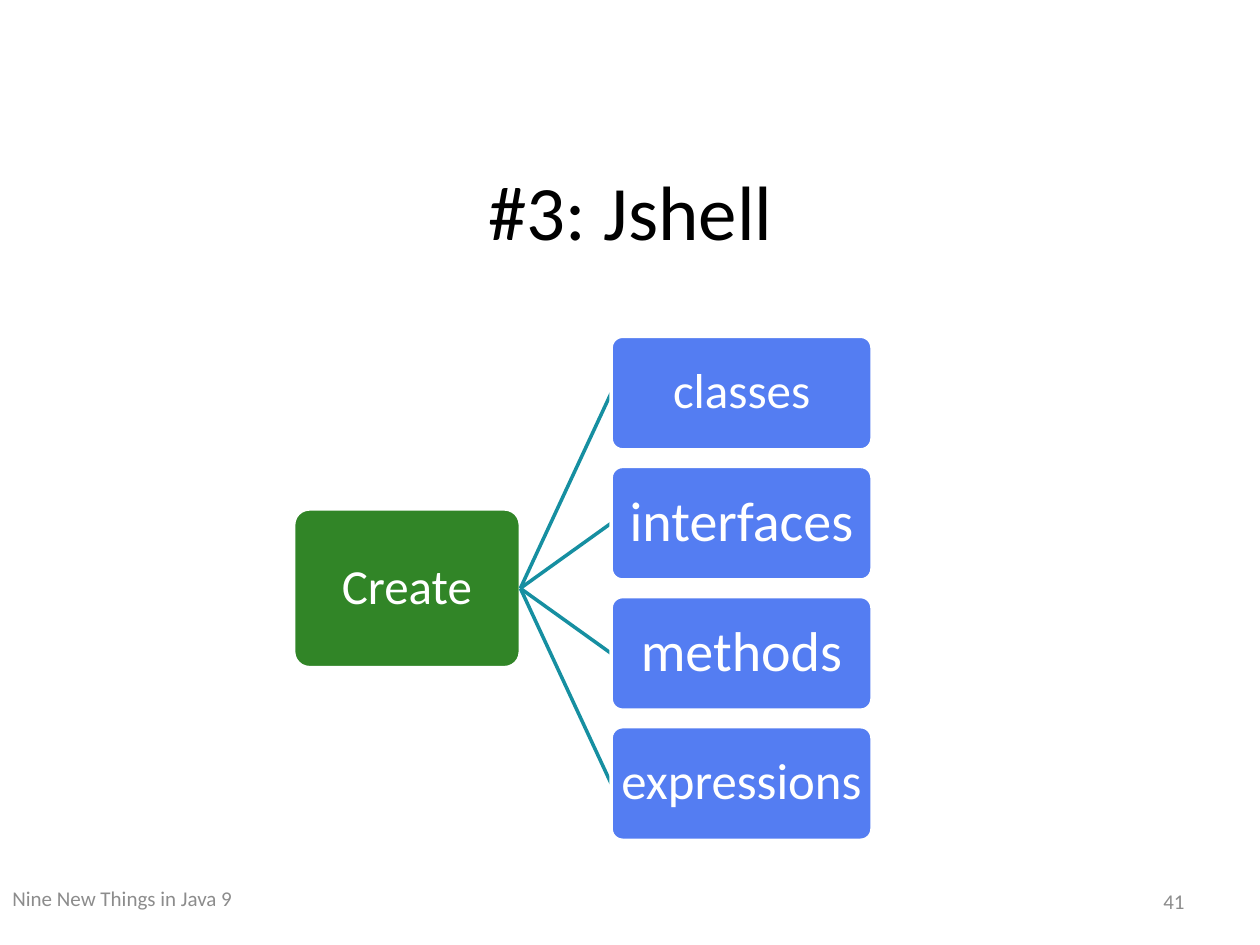
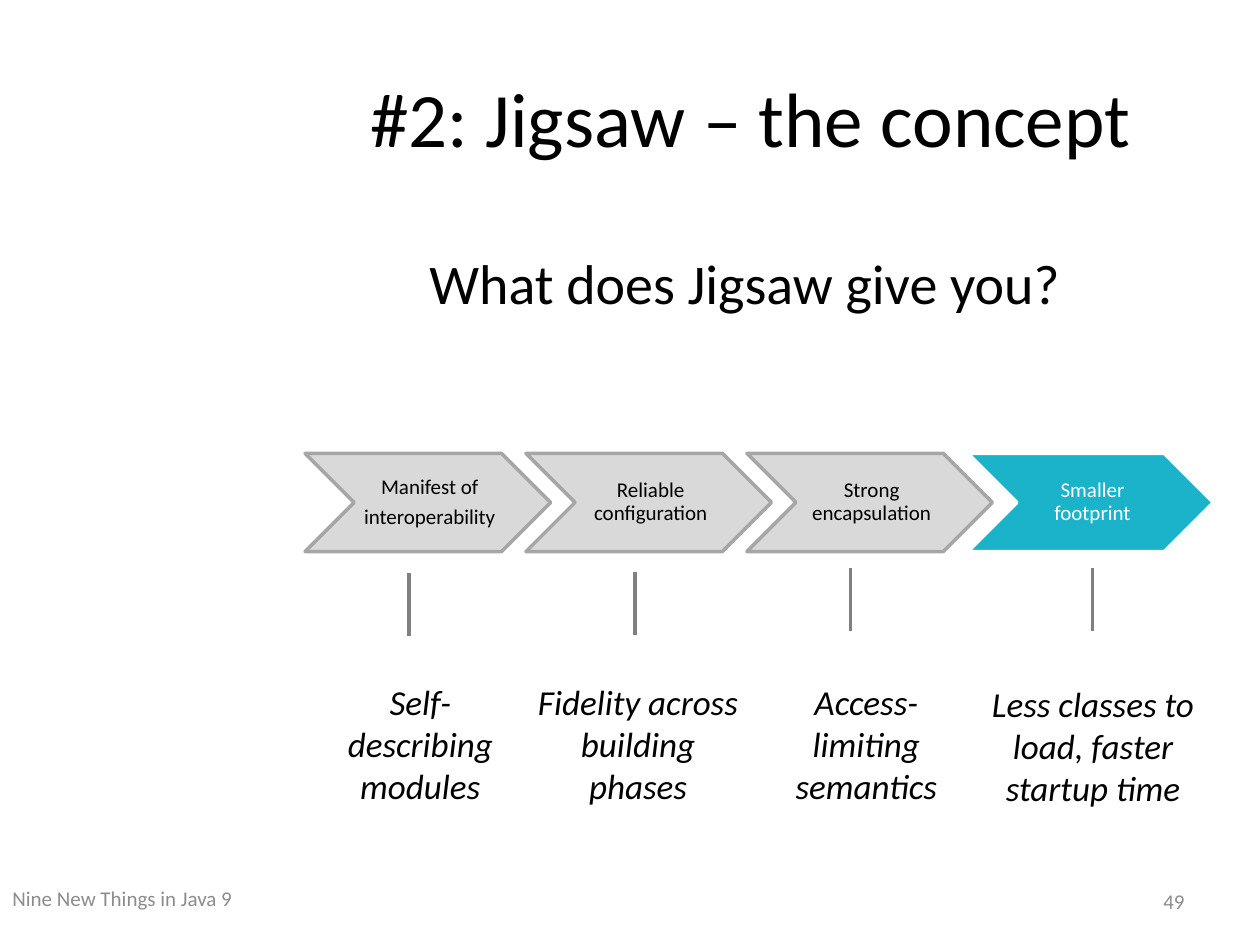
import pptx
import pptx.util
import pptx.dml.color
import pptx.enum.shapes
import pptx.enum.text
import pptx.oxml.ns
from lxml import etree

Cm, Pt = pptx.util.Cm, pptx.util.Pt
RGBColor = pptx.dml.color.RGBColor
Shape = pptx.enum.shapes.MSO_SHAPE
Align = pptx.enum.text.PP_ALIGN
Anchor = pptx.enum.text.MSO_ANCHOR

FONT = "Calibri"
BLACK = RGBColor(0x00, 0x00, 0x00)
WHITE = RGBColor(0xFF, 0xFF, 0xFF)
FOOTER_GRAY = RGBColor(0x8C, 0x8C, 0x8C)
HUB_GREEN = RGBColor(0x31, 0x85, 0x27)
LEAF_BLUE = RGBColor(0x54, 0x7D, 0xF2)
LINK_TEAL = RGBColor(0x16, 0x8F, 0xA1)
STEP_GRAY = RGBColor(0xD9, 0xD9, 0xD9)
STEP_EDGE = RGBColor(0xA6, 0xA6, 0xA6)
STEP_CYAN = RGBColor(0x1B, 0xB3, 0xC9)
TICK_GRAY = RGBColor(0x80, 0x80, 0x80)

TITLE_SIZE = 44
LINE_WIDTH = Pt(2)
PAGE_WIDTH, PAGE_HEIGHT = 25.4, 19.05


def write(frame, lines, size, color, align=Align.CENTER, anchor=Anchor.MIDDLE,
          italic=False, line_spacing=None):
    """Fill a text frame, one paragraph per line."""
    frame.word_wrap = True
    frame.vertical_anchor = anchor
    for index, line in enumerate(lines):
        para = frame.paragraphs[0] if index == 0 else frame.add_paragraph()
        para.text = line
        para.alignment = align
        para.font.name = FONT
        para.font.size = Pt(size)
        para.font.italic = italic
        para.font.color.rgb = color
        if line_spacing:
            para.line_spacing = line_spacing
        if index < len(lines) - 1:
            para.space_after = Pt(round(0.35 * size, 1))


def add_text(page, box, text, size, color=BLACK, **style):
    text_box = page.shapes.add_textbox(*map(Cm, box))
    write(text_box.text_frame, [text], size, color, **style)


def add_block(page, kind, box, lines, size, fill, edge=WHITE, color=WHITE, left_inset=0.05):
    """Add a filled, outlined shape carrying tightly set text."""
    block = page.shapes.add_shape(kind, *map(Cm, box))
    block.shadow.inherit = False
    block.fill.solid()
    block.fill.fore_color.rgb = fill
    block.line.color.rgb = edge
    block.line.width = LINE_WIDTH
    frame = block.text_frame
    frame.margin_left = Cm(left_inset)
    frame.margin_right = frame.margin_top = frame.margin_bottom = Cm(0.05)
    write(frame, lines, size, color, line_spacing=0.9)
    return block


def add_line(page, color, start=(0, 0), end=(0, 0)):
    line = page.shapes.add_connector(
        pptx.enum.shapes.MSO_CONNECTOR.STRAIGHT, *map(Cm, start + end))
    line.line.color.rgb = color
    line.line.width = LINE_WIDTH
    etree.SubElement(line._element.spPr, pptx.oxml.ns.qn("a:effectLst"))
    return line


def add_footer(page, number):
    add_text(page, (0, 17.6, PAGE_WIDTH, 1.02), "Nine New Things in Java 9", 12,
             FOOTER_GRAY, align=Align.LEFT)
    add_text(page, (18.2, 17.65, 5.93, 1.02), str(number), 12, FOOTER_GRAY, align=Align.RIGHT)


def add_hub_tree(page, box, hub_label, leaves):
    """Place a hub on the left, linked to a column of leaves on the right."""
    left, top, width, height = box
    hub_width, hub_height = 4.57, 3.2
    leaf_width, leaf_height = 5.26, 2.29
    pitch = (height - leaf_height) / (len(leaves) - 1)

    hub = add_block(page, Shape.ROUNDED_RECTANGLE,
                    (left, top + (height - hub_height) / 2, hub_width, hub_height),
                    [hub_label], 28, HUB_GREEN)
    hub.adjustments[0] = 0.1
    for row, (label, size) in enumerate(leaves):
        link = add_line(page, LINK_TEAL)
        leaf = add_block(page, Shape.ROUNDED_RECTANGLE,
                         (left + width - leaf_width, top + row * pitch, leaf_width, leaf_height),
                         [label], size, LEAF_BLUE)
        leaf.adjustments[0] = 0.1
        link.begin_connect(hub, 3)
        link.end_connect(leaf, 1)


def add_step_chain(page, box, steps):
    """Place a row of chevrons, the last one highlighted."""
    left, top, width, height = box
    step_width = 4.95
    pitch = (width - step_width) / (len(steps) - 1)
    for column, lines in enumerate(steps):
        last = column == len(steps) - 1
        fill, edge, color = (STEP_CYAN, WHITE, WHITE) if last else (STEP_GRAY, STEP_EDGE, BLACK)
        add_block(page, Shape.CHEVRON, (left + column * pitch, top, step_width, height),
                  lines, 12, fill, edge, color, left_inset=0.13)


def add_benefits(page, box, benefits):
    """Place a tick and an italic caption for each (text, caption x, y, tick x, y) in the box."""
    left, top, width, height = box
    caption_width, caption_height, tick_length = 4.65, 2.82, 1.27
    for text, caption_x, caption_y, tick_x, tick_y in benefits:
        x, y = left + tick_x, top + tick_y
        add_line(page, TICK_GRAY, (x, y), (x, y + tick_length))
        add_text(page,
                 (left + caption_x, top + height - caption_height + caption_y,
                  caption_width, caption_height),
                 text, 20, anchor=Anchor.TOP, italic=True)


def build_jshell(page):
    add_text(page, (2.34, 3.18, 20.75, 2.13), "#3: Jshell", TITLE_SIZE, anchor=Anchor.TOP)
    add_hub_tree(page, (5.92, 6.78, 11.66, 10.16), "Create",
                 [("classes", 28), ("interfaces", 32), ("methods", 32), ("expressions", 29)])
    add_footer(page, 41)


def build_jigsaw(page):
    add_text(page, (4.88, 0.76, 20.52, 3.18), "#2: Jigsaw – the concept", TITLE_SIZE)
    add_text(page, (5.28, 4.88, 19.48, 1.63), "What does Jigsaw give you?", 32, anchor=Anchor.TOP)
    add_step_chain(page, (6.15, 9.14, 18.31, 1.98), [
        ["Manifest of", "interoperability"],
        ["Reliable configuration"],
        ["Strong encapsulation"],
        ["Smaller footprint"],
    ])
    add_benefits(page, (6.15, 11.46, 18.31, 4.95), [
        ("Self-describing modules", 0, 0, 2.1, 0.1),
        ("Fidelity across building phases", 4.39, 0, 6.65, 0.08),
        ("Access-limiting semantics", 8.99, 0, 11, 0),
        ("Less classes to load, faster startup time", 13.56, 0.05, 15.87, 0),
    ])
    add_footer(page, 49)


def main():
    deck = pptx.Presentation()
    deck.slide_width, deck.slide_height = Cm(PAGE_WIDTH), Cm(PAGE_HEIGHT)
    for build in (build_jshell, build_jigsaw):
        build(deck.slides.add_slide(deck.slide_layouts[6]))
    deck.save("out.pptx")


if __name__ == "__main__":
    main()
